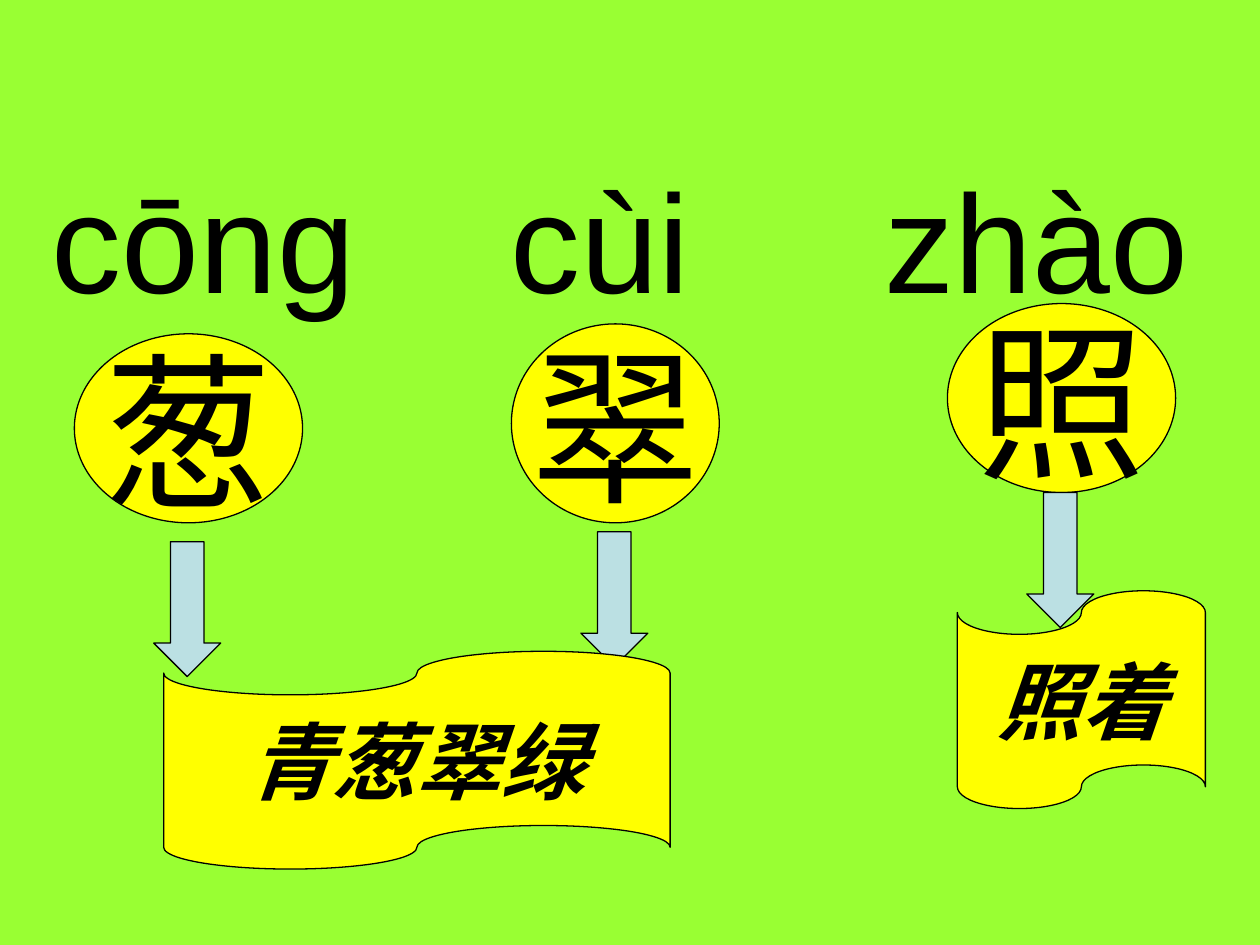
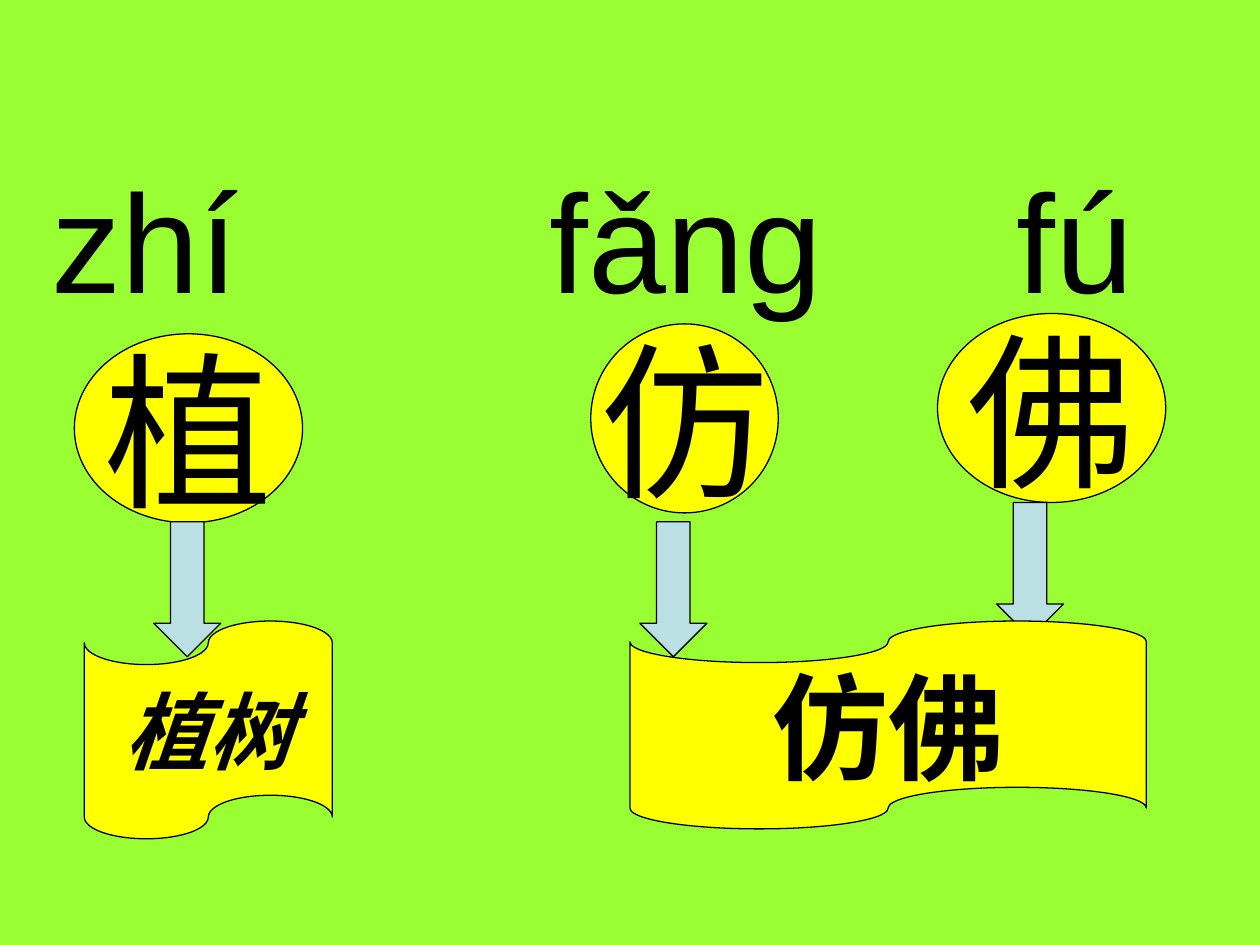
"""Build two slides that lead from pinyin and characters to the words they form."""
from dataclasses import dataclass

import pptx
import pptx.dml.color
import pptx.enum.shapes
import pptx.enum.text
import pptx.oxml
import pptx.oxml.ns
import pptx.presentation
import pptx.shapes.autoshape
import pptx.slide
import pptx.text.text
import pptx.util

Cm = pptx.util.Cm
Pt = pptx.util.Pt
RGBColor = pptx.dml.color.RGBColor
Shape = pptx.enum.shapes.MSO_SHAPE

GREEN = RGBColor(0x99, 0xFF, 0x33)
YELLOW = RGBColor(0xFF, 0xFF, 0x00)
PALE_BLUE = RGBColor(0xBB, 0xE0, 0xE3)
BLACK = RGBColor(0x00, 0x00, 0x00)

FONT = "Arial"
PINYIN_START = 1.04
ARROW_WIDTH, ARROW_HEIGHT = 1.35, 2.72


@dataclass(frozen=True)
class Box:
    left: float
    top: float
    width: float
    height: float


@dataclass(frozen=True)
class Syllable:
    pinyin: str
    pinyin_left: float
    character: str
    circle: Box
    arrow_left: float
    arrow_top: float


@dataclass(frozen=True)
class Word:
    text: str
    tape: Box
    size: int = 48
    italic: bool = True


@dataclass(frozen=True)
class Lesson:
    syllables: tuple[Syllable, ...]
    words: tuple[Word, ...]


LESSONS = (
    Lesson(
        (
            Syllable("cōng", PINYIN_START, "葱", Box(1.5, 6.73, 4.6, 3.81), 3.1, 10.92),
            Syllable("cùi", 10.3, "翠", Box(10.31, 6.53, 4.19, 4.01), 11.71, 10.72),
            Syllable("zhào", 17.83, "照", Box(19.1, 6.12, 4.6, 3.81), 20.7, 9.93),
        ),
        (
            Word("青葱翠绿", Box(3.3, 13.13, 10.21, 4.39)),
            Word("照着", Box(19.3, 11.91, 5, 4.39)),
        ),
    ),
    Lesson(
        (
            Syllable("zhí", PINYIN_START, "植", Box(1.5, 6.73, 4.6, 3.81), 3.1, 10.52),
            Syllable("fǎng", 11.08, "仿", Box(11.91, 6.53, 3.78, 3.81), 12.9, 10.52),
            Syllable("fú", 20.49, "佛", Box(18.9, 6.32, 4.6, 3.81), 20.09, 10.13),
        ),
        (
            Word("植树", Box(1.7, 12.52, 5, 4.39)),
            Word("仿佛", Box(12.7, 12.52, 10.41, 4.19), 66, False),
        ),
    ),
)


def format_text(paragraph: pptx.text.text._Paragraph, size: int,
                bold: bool = False, italic: bool = False) -> None:
    for run in paragraph.runs:
        run.font.name = FONT
        run.font.size = Pt(size)
        run.font.bold = bold
        run.font.italic = italic
        run.font.color.rgb = BLACK


def add_outlined(slide: pptx.slide.Slide, kind: Shape, box: Box,
                 color: RGBColor) -> pptx.shapes.autoshape.Shape:
    outlined = slide.shapes.add_shape(
        kind, Cm(box.left), Cm(box.top), Cm(box.width), Cm(box.height))
    outlined.shadow.inherit = False
    outlined.fill.solid()
    outlined.fill.fore_color.rgb = color
    outlined.line.color.rgb = BLACK
    outlined.line.width = Pt(0.75)
    return outlined


def add_label(slide: pptx.slide.Slide, kind: Shape, box: Box, text: str, size: int,
              bold: bool = False, italic: bool = False) -> None:
    frame = add_outlined(slide, kind, box, YELLOW).text_frame
    frame.text = text
    frame.word_wrap = False
    frame.vertical_anchor = pptx.enum.text.MSO_ANCHOR.MIDDLE
    paragraph = frame.paragraphs[0]
    paragraph.alignment = pptx.enum.text.PP_ALIGN.CENTER
    format_text(paragraph, size, bold, italic)


def add_arrow(slide: pptx.slide.Slide, syllable: Syllable) -> None:
    box = Box(syllable.arrow_left, syllable.arrow_top, ARROW_WIDTH, ARROW_HEIGHT)
    arrow = add_outlined(slide, Shape.DOWN_ARROW, box, PALE_BLUE)
    arrow.adjustments[0] = 0.5
    arrow.adjustments[1] = 0.5


def add_pinyin(slide: pptx.slide.Slide, syllables: tuple[Syllable, ...]) -> None:
    frame = slide.shapes.add_textbox(Cm(0), Cm(3.12), Cm(25.22), Cm(3)).text_frame
    frame.word_wrap = True
    frame.vertical_anchor = pptx.enum.text.MSO_ANCHOR.MIDDLE
    frame.margin_left = Cm(PINYIN_START)
    frame.margin_top = Cm(0.48)
    paragraph = frame.paragraphs[0]
    paragraph.text = "\t".join(syllable.pinyin for syllable in syllables)
    properties = paragraph._p.get_or_add_pPr()
    tabs = pptx.oxml.parse_xml(f"<a:tabLst {pptx.oxml.ns.nsdecls('a')}/>")
    for syllable in syllables[1:]:
        tab = tabs.makeelement(pptx.oxml.ns.qn("a:tab"), {
            "pos": str(Cm(syllable.pinyin_left - PINYIN_START)), "algn": "l"})
        tabs.append(tab)
    properties.append(tabs)
    format_text(paragraph, 80)


def add_lesson(deck: pptx.presentation.Presentation, lesson: Lesson) -> None:
    slide = deck.slides.add_slide(deck.slide_layouts[6])
    slide.background.fill.solid()
    slide.background.fill.fore_color.rgb = GREEN
    add_pinyin(slide, lesson.syllables)
    for syllable in lesson.syllables:
        add_label(slide, Shape.OVAL, syllable.circle, syllable.character, 96)
    for syllable in lesson.syllables:
        add_arrow(slide, syllable)
    for word in lesson.words:
        add_label(slide, Shape.FLOWCHART_PUNCHED_TAPE, word.tape, word.text,
                  word.size, True, word.italic)


def main() -> None:
    deck = pptx.Presentation()
    deck.slide_width = Cm(25.4)
    deck.slide_height = Cm(19.05)
    for lesson in LESSONS:
        add_lesson(deck, lesson)
    deck.save("out.pptx")


if __name__ == "__main__":
    main()
